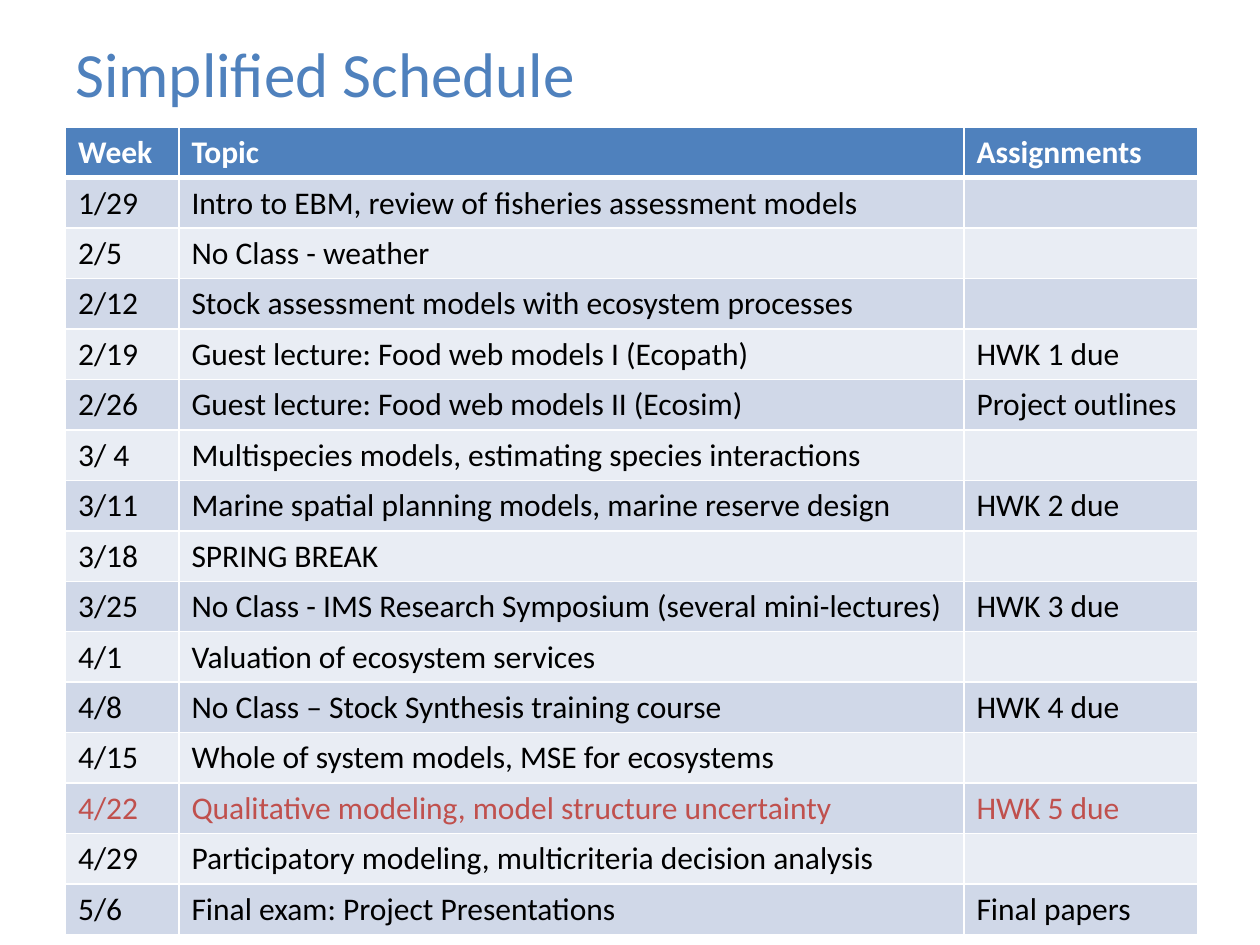
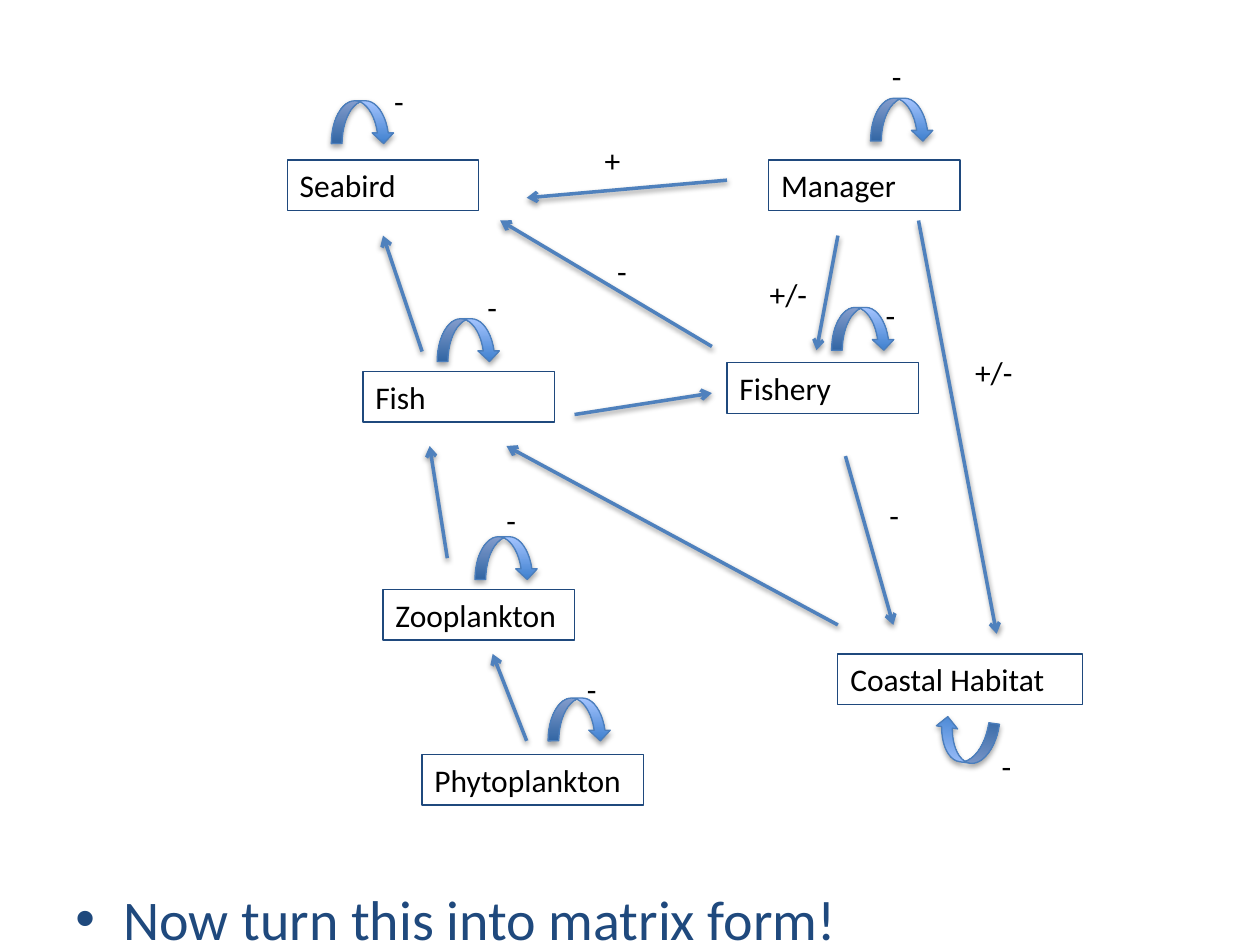
from lxml import etree
from pptx import Presentation
from pptx.dml.color import RGBColor
from pptx.enum.shapes import MSO_CONNECTOR, MSO_SHAPE
from pptx.enum.text import MSO_ANCHOR, PP_ALIGN
from pptx.oxml.ns import qn
from pptx.util import Inches, Pt

STRAIGHT = MSO_CONNECTOR.STRAIGHT
RECTANGLE = MSO_SHAPE.RECTANGLE
CURVED_ARROW = MSO_SHAPE.CURVED_DOWN_ARROW
TOP, MIDDLE = MSO_ANCHOR.TOP, MSO_ANCHOR.MIDDLE
LEFT = PP_ALIGN.LEFT

COLUMNS, ROWS = 100, 75
BLUE, NAVY, RED = "4F81BD", "1F497D", "C0504D"
BLACK, WHITE = "000000", "FFFFFF"
BANDS = ("E9EDF4", "D0D8E8")
LOOP_LINE, LOOP_DARK, LOOP_LIGHT = "4B7EBC", "3F80CE", "A4C4FF"

CURRENT_WEEK = "4/22"
SCHEDULE = [
    ("Week", "Topic", "Assignments"),
    ("1/29", "Intro to EBM, review of fisheries assessment models", ""),
    ("2/5", "No Class - weather", ""),
    ("2/12", "Stock assessment models with ecosystem processes", ""),
    ("2/19", "Guest lecture: Food web models I (Ecopath)", "HWK 1 due"),
    ("2/26", "Guest lecture: Food web models II (Ecosim)", "Project outlines"),
    ("3/ 4", "Multispecies models, estimating species interactions", ""),
    ("3/11", "Marine spatial planning models, marine reserve design", "HWK 2 due"),
    ("3/18", "SPRING BREAK", ""),
    ("3/25", "No Class - IMS Research Symposium (several mini-lectures)", "HWK 3 due"),
    ("4/1", "Valuation of ecosystem services", ""),
    ("4/8", "No Class – Stock Synthesis training course", "HWK 4 due"),
    ("4/15", "Whole of system models, MSE for ecosystems", ""),
    (CURRENT_WEEK, "Qualitative modeling, model structure uncertainty", "HWK 5 due"),
    ("4/29", "Participatory modeling, multicriteria decision analysis", ""),
    ("5/6", "Final exam: Project Presentations", "Final papers"),
]

NODES = [
    ("Seabird", 22.8, 12.7, 15.2),
    ("Coastal Habitat", 66.5, 51.9, 19.4),
    ("Zooplankton", 30.4, 46.8, 15.2),
    ("Fish", 28.8, 29.5, 15.2),
    ("Fishery", 57.7, 28.8, 15.2),
    ("Phytoplankton", 33.5, 59.9, 17.6),
    ("Manager", 61, 12.7, 15.2),
]
EFFECTS = [
    ((41.8, 58.8), (39.1, 51.9)),
    ((35.5, 44.3), (34.1, 35.4)),
    ((33.5, 27.9), (30.4, 18.7)),
    ((45.6, 32.9), (56.5, 31.2)),
    ((66.5, 49.6), (40.2, 35.4)),
    ((57.7, 14.3), (41.8, 15.7)),
    ((66.5, 18.7), (64.8, 27.8)),
    ((72.9, 17.5), (79.1, 50.3)),
    ((67.1, 36.2), (70.9, 49.6)),
    ((56.5, 27.5), (39.7, 17.5)),
]
SELF_LOOPS = [
    (74.1, 57.1, 188.4), (34.7, 25.3, 0), (37.7, 42.6, 0), (43.5, 55.4, 0),
    (69.1, 7.8, 0), (66, 24.4, 0), (26.3, 8, 0),
]
SIGNS = {
    "+": [(47, 10.7)],
    "+/-": [(60.1, 21.3), (76.4, 27.5)],
    "-": [(45.6, 52.7), (78.5, 58.8), (69.6, 38.9), (39.2, 39.3), (37.7, 22.4),
          (30.3, 6), (69.3, 23), (69.8, 4), (48, 19.5)],
}


def color(value):
    return RGBColor.from_string(value)


def add_element(parent, tag, **attributes):
    element = etree.SubElement(parent, qn(tag))
    for name, value in attributes.items():
        element.set(name, str(value))
    return element


class SlideBuilder:
    font_name = "Calibri"
    body_size = 18

    def __init__(self):
        self.deck = Presentation()
        self.deck.slide_width = Inches(10)
        self.deck.slide_height = Inches(7.5)
        self.page = None

    def new_page(self):
        self.page = self.deck.slides.add_slide(self.deck.slide_layouts[6])

    def x(self, columns):
        return round(self.deck.slide_width * columns / COLUMNS)

    def y(self, rows):
        return round(self.deck.slide_height * rows / ROWS)

    def area(self, left, top, width, height):
        return self.x(left), self.y(top), self.x(width), self.y(height)

    def set_words(self, frame, words, size, ink, bold=False):
        para = frame.paragraphs[0]
        para.text = words
        para.alignment = LEFT
        for span in para.runs:
            span.font.name = self.font_name
            span.font.size = Pt(size)
            span.font.bold = bold
            span.font.color.rgb = color(ink)

    def text(self, words, area, size=body_size, ink=BLACK, anchor=TOP):
        box = self.page.shapes.add_textbox(*self.area(*area))
        box.text_frame.word_wrap = True
        box.text_frame.vertical_anchor = anchor
        self.set_words(box.text_frame, words, size, ink)
        return box

    def title(self, words):
        self.text(words, (5, 2, 90, 7.5), 36, BLUE, MIDDLE)

    def bullet(self, words, area):
        box = self.text(words, area, 32, NAVY)
        indent = Inches(0.38)
        settings = box.text_frame.paragraphs[0]._p.get_or_add_pPr()
        settings.set("marL", str(indent))
        settings.set("indent", str(-indent))
        add_element(settings, "a:buFont", typeface="Arial")
        add_element(settings, "a:buChar", char="•")

    def node(self, words, left, top, width):
        box = self.page.shapes.add_shape(RECTANGLE, *self.area(left, top, width, 4))
        box.shadow.inherit = False
        box.fill.background()
        box.line.color.rgb = color(NAVY)
        box.line.width = Pt(0.75)
        box.text_frame.word_wrap = True
        box.text_frame.vertical_anchor = TOP
        self.set_words(box.text_frame, words, self.body_size, BLACK)

    def shadow(self, shape, opacity, distance):
        effects = add_element(shape._element.spPr, "a:effectLst")
        outer = add_element(effects, "a:outerShdw", blurRad=Pt(3.1), dist=Pt(distance),
                            dir=90 * 60000, rotWithShape=0)
        shade = add_element(outer, "a:srgbClr", val=BLACK)
        add_element(shade, "a:alpha", val=opacity * 1000)

    def arrow(self, start, end):
        link = self.page.shapes.add_connector(
            STRAIGHT, self.x(start[0]), self.y(start[1]), self.x(end[0]), self.y(end[1]))
        link.line.color.rgb = color(BLUE)
        link.line.width = Pt(2)
        add_element(link._element.spPr.find(qn("a:ln")), "a:tailEnd", type="arrow")
        self.shadow(link, 38, 1.6)

    def self_loop(self, left, top, rotation):
        loop = self.page.shapes.add_shape(CURVED_ARROW, *self.area(left, top, 5, 3.4))
        loop.rotation = rotation
        loop.fill.gradient()
        loop.fill.gradient_angle = 90
        for stop, tint in zip(loop.fill.gradient_stops, (LOOP_DARK, LOOP_LIGHT)):
            stop.color.rgb = color(tint)
        loop.line.color.rgb = color(LOOP_LINE)
        loop.line.width = Pt(0.75)
        self.shadow(loop, 35, 1.8)

    def cell_borders(self, cell, top, bottom):
        settings = cell._tc.get_or_add_tcPr()
        for side, width in (("L", 1), ("R", 1), ("T", top), ("B", bottom)):
            border = add_element(settings, f"a:ln{side}", w=Pt(width))
            add_element(add_element(border, "a:solidFill"), "a:srgbClr", val=WHITE)

    def table(self, records, left, top, widths, row_height):
        area = self.area(left, top, sum(widths), row_height * len(records))
        grid = self.page.shapes.add_table(len(records), len(widths), *area).table
        for column, width in zip(grid.columns, widths):
            column.width = self.x(width)
        for row, record in enumerate(records):
            grid.rows[row].height = self.y(row_height)
            header = row == 0
            ink = WHITE if header else RED if record[0] == CURRENT_WEEK else BLACK
            for column, words in enumerate(record):
                cell = grid.cell(row, column)
                self.cell_borders(cell, 3 if row == 1 else 1, 3 if header else 1)
                cell.fill.solid()
                cell.fill.fore_color.rgb = color(BLUE if header else BANDS[row % 2])
                self.set_words(cell.text_frame, words, self.body_size, ink, header)


def build_schedule(builder):
    builder.new_page()
    builder.title("Simplified Schedule")
    builder.table(SCHEDULE, 5.2, 10.1, (9, 62.3, 18.6), 4)


def build_food_web(builder):
    builder.new_page()
    for node in NODES:
        builder.node(*node)
    for start, end in EFFECTS:
        builder.arrow(start, end)
    for loop in SELF_LOOPS:
        builder.self_loop(*loop)
    for sign, places in SIGNS.items():
        for left, top in places:
            builder.text(sign, (left, top, 9.5, 4))
    builder.bullet("Now turn this into matrix form!", (5, 69.7, 90, 5.3))


def main():
    builder = SlideBuilder()
    build_schedule(builder)
    build_food_web(builder)
    builder.deck.save("out.pptx")


if __name__ == "__main__":
    main()
